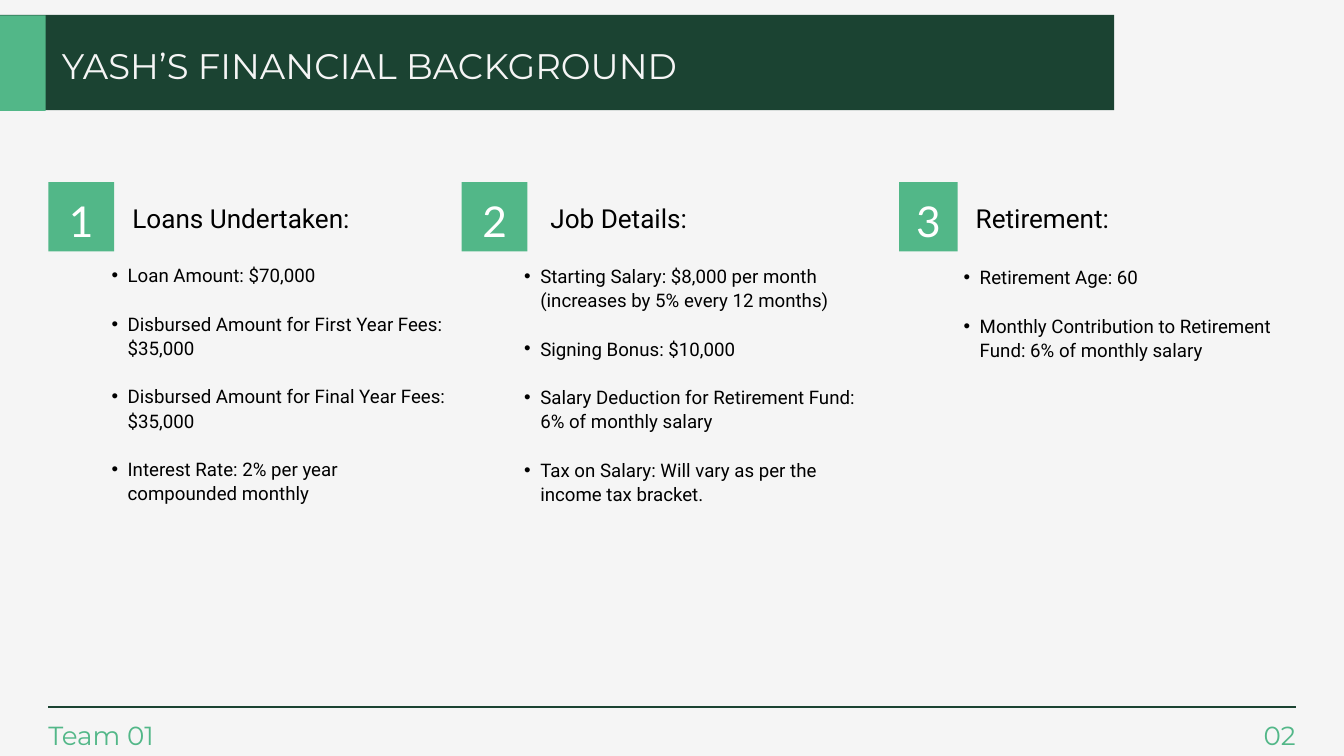
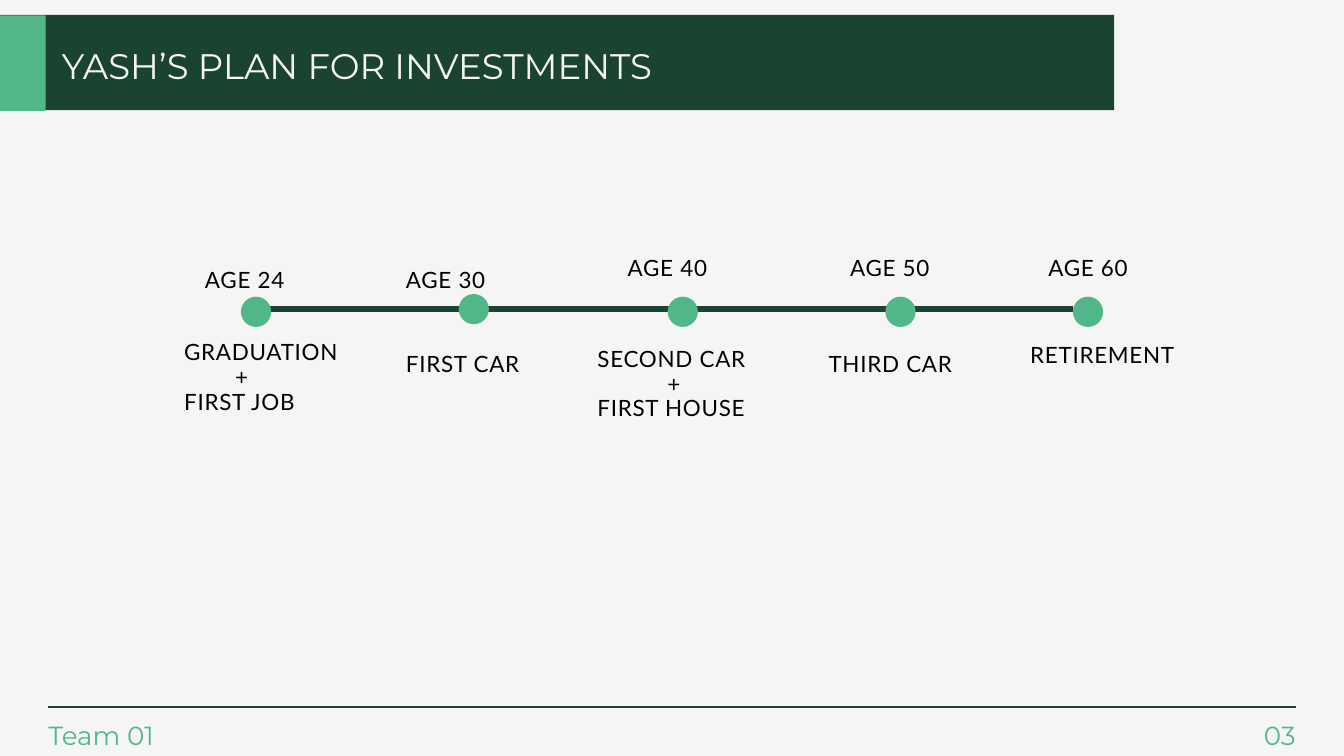
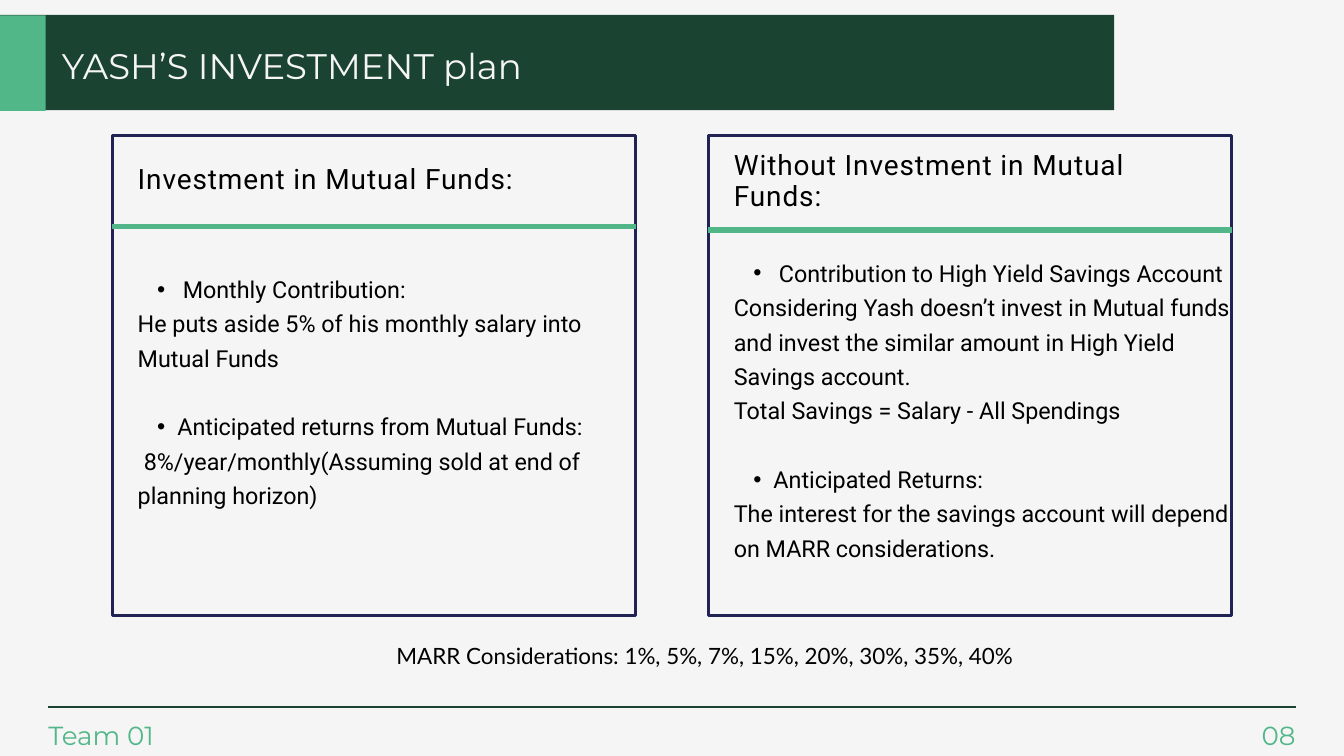
from dataclasses import dataclass

from lxml import etree
from pptx import Presentation
from pptx.dml.color import RGBColor
from pptx.enum.shapes import MSO_CONNECTOR, MSO_SHAPE
from pptx.enum.text import MSO_ANCHOR, PP_ALIGN
from pptx.oxml.ns import qn
from pptx.util import Emu, Inches, Pt

SLIDE_WIDTH = Inches(20)
SLIDE_HEIGHT = Inches(11.25)
GRID_COLUMNS = 20
CELL = SLIDE_WIDTH // GRID_COLUMNS

PAPER = RGBColor(0xF5, 0xF5, 0xF5)
FOREST = RGBColor(0x1B, 0x43, 0x32)
MINT = RGBColor(0x52, 0xB7, 0x88)
NAVY = RGBColor(0x20, 0x23, 0x54)
BLACK = RGBColor(0, 0, 0)
WHITE = RGBColor(0xFF, 0xFF, 0xFF)

RECTANGLE = MSO_SHAPE.RECTANGLE
OVAL = MSO_SHAPE.OVAL
STRAIGHT = MSO_CONNECTOR.STRAIGHT
MIDDLE = MSO_ANCHOR.MIDDLE
LEFT = PP_ALIGN.LEFT
CENTER = PP_ALIGN.CENTER
RIGHT = PP_ALIGN.RIGHT

MARGIN = 0.72
RIGHT_MARGIN = GRID_COLUMNS - MARGIN


@dataclass
class Style:
    font: str
    size: float
    leading: float
    color: RGBColor = BLACK
    align: int = LEFT
    tracking: float = 0


@dataclass
class Line:
    text: str
    indent: float = 0
    first: float = 0
    bullet: bool = False
    gap: bool = False


TITLE = Style("Montserrat", 38, 53.2, PAPER)
TEAM = Style("Montserrat", 28, 39.2, MINT)
PAGE = Style("Montserrat", 28, 39.2, MINT, RIGHT)
TILE_NUMBER = Style("Lato", 45.5, 63.7, WHITE, CENTER)
COLUMN_HEADING = Style("Roboto", 28, 39.2)
COLUMN_BODY = Style("Roboto", 20, 26)
MILESTONE = Style("Lato", 24, 26.4, tracking=0.8)
CARD_HEADING = Style("Roboto", 30, 33, tracking=1)
CARD_BODY = Style("Roboto", 25, 36.8)
RATES = Style("Lato", 24, 35.4, align=CENTER)


def grid(units):
    return Emu(round(units * CELL))


def write(text_frame, lines, style):
    text_frame.word_wrap = True
    text_frame.margin_left = text_frame.margin_right = 0
    text_frame.margin_top = text_frame.margin_bottom = 0
    for index, line in enumerate(lines):
        paragraph = text_frame.paragraphs[0] if index == 0 else text_frame.add_paragraph()
        paragraph.text = line.text
        paragraph.alignment = style.align
        paragraph.line_spacing = Pt(style.leading)
        paragraph.space_before = Pt(style.leading if line.gap else 0)
        properties = paragraph._p.get_or_add_pPr()
        properties.set("marL", str(grid(line.indent)))
        properties.set("indent", str(grid(line.first)))
        if line.bullet:
            etree.SubElement(properties, qn("a:buFont")).set("typeface", "Arial")
            etree.SubElement(properties, qn("a:buChar")).set("char", "•")
        for run in paragraph.runs:
            run.font.name = style.font
            run.font.size = Pt(style.size)
            run.font.color.rgb = style.color
            if style.tracking:
                run._r.get_or_add_rPr().set("spc", str(round(style.tracking * 100)))


def add_text(slide, left, top, width, height, lines, style):
    box = slide.shapes.add_textbox(grid(left), grid(top), grid(width), grid(height))
    write(box.text_frame, lines, style)


def add_block(slide, kind, left, top, width, height, fill, outline=None):
    shape = slide.shapes.add_shape(kind, grid(left), grid(top), grid(width), grid(height))
    shape.shadow.inherit = False
    shape.fill.solid()
    shape.fill.fore_color.rgb = fill
    if outline is None:
        shape.line.fill.background()
    else:
        shape.line.color.rgb = outline
        shape.line.width = Pt(3)
    return shape


def add_rule(slide, left, right, top, color, weight):
    rule = slide.shapes.add_connector(STRAIGHT, grid(left), grid(top), grid(right), grid(top))
    rule.line.color.rgb = color
    rule.line.width = Pt(weight)
    etree.SubElement(rule._element.spPr, qn("a:effectLst"))


def add_page(presentation, title, number):
    slide = presentation.slides.add_slide(presentation.slide_layouts[6])
    add_block(slide, RECTANGLE, -0.1, 0.22, 16.68, 1.42, FOREST)
    add_block(slide, RECTANGLE, -0.37, 0.23, 1.05, 1.42, MINT)
    add_text(slide, 0.92, 0.55, 15.4, 0.71, [Line(title)], TITLE)
    add_text(slide, MARGIN, 10.63, 2.03, 0.52, [Line("Team 01")], TEAM)
    add_text(slide, RIGHT_MARGIN - 1.62, 10.63, 1.62, 0.52, [Line(number)], PAGE)
    add_rule(slide, MARGIN, RIGHT_MARGIN, 10.52, FOREST, 3)
    return slide


def add_topic(slide, number, tile, heading, body, title, facts):
    tile_left, tile_width = tile
    heading_left, heading_width = heading
    body_left, body_top, body_width, body_height = body
    block = add_block(slide, RECTANGLE, tile_left, 2.71, tile_width, 1.03, MINT)
    block.text_frame.vertical_anchor = MIDDLE
    write(block.text_frame, [Line(str(number))], TILE_NUMBER)
    add_text(slide, heading_left, 2.93, heading_width, 0.53, [Line(title)], COLUMN_HEADING)
    lines = [Line(fact, 0.47, -0.24, True, index > 0) for index, fact in enumerate(facts)]
    add_text(slide, body_left, body_top, body_width, body_height, lines, COLUMN_BODY)


def add_milestone(slide, center, age, event):
    center_x, center_y = center
    age_left, age_top, age_text = age
    event_left, event_top, event_lines = event
    diameter = 0.45
    add_block(slide, OVAL, center_x - diameter / 2, center_y - diameter / 2,
              diameter, diameter, MINT)
    add_text(slide, age_left, age_top, 2.99, 0.38, [Line(age_text)], MILESTONE)
    add_text(slide, event_left, event_top, 2.99, 0.37 * len(event_lines),
             event_lines, MILESTONE)


def add_card(slide, left, rule_top, heading, body):
    width = 7.79
    heading_top, heading_width, heading_height, title = heading
    body_top, body_width, body_height, lines = body
    text_left = left + 0.38
    add_block(slide, RECTANGLE, left, 2.02, width, 7.14, PAPER, NAVY)
    add_rule(slide, left, left + width, rule_top, MINT, 6)
    add_text(slide, text_left, heading_top, heading_width, heading_height,
             [Line(title)], CARD_HEADING)
    add_text(slide, text_left, body_top, body_width, body_height, lines, CARD_BODY)


def build_background(presentation):
    slide = add_page(presentation, "YASH’S FINANCIAL BACKGROUND", "02")
    topics = [
        ((0.72, 0.98), (1.97, 4.09), (1.43, 3.9, 5.2, 3.56), "Loans Undertaken:", [
            "Loan Amount: $70,000",
            "Disbursed Amount for First Year Fees: $35,000",
            "Disbursed Amount for Final Year Fees: $35,000",
            "Interest Rate: 2% per year compounded monthly",
        ]),
        ((6.87, 0.98), (8.19, 4.46), (7.57, 3.91, 5.37, 3.94), "Job Details:", [
            "Starting Salary: $8,000 per month (increases by 5% every 12 months)",
            "Signing Bonus: $10,000",
            "Salary Deduction for Retirement Fund: 6% of monthly salary",
            "Tax on Salary: Will vary as per the income tax bracket.",
        ]),
        ((13.38, 0.87), (14.52, 4.46), (14.11, 3.93, 4.96, 2.59), "Retirement:", [
            "Retirement Age: 60",
            "Monthly Contribution to Retirement Fund: 6% of monthly salary",
        ]),
    ]
    for number, topic in enumerate(topics, start=1):
        add_topic(slide, number, *topic)


def build_timeline(presentation):
    slide = add_page(presentation, "YASH’S PLAN FOR INVESTMENTS", "03")
    add_rule(slide, 3.62, 15.96, 4.6, FOREST, 6)
    milestones = [
        ((3.81, 4.64), (3.05, 4, "AGE 24"),
         (2.74, 5.07, [Line("GRADUATION"), Line("+", 0.76), Line("FIRST JOB")])),
        ((7.05, 4.6), (6.04, 4, "AGE 30"), (6.04, 5.25, [Line("FIRST CAR")])),
        ((10.16, 4.64), (9.34, 3.82, "AGE 40"),
         (8.89, 5.17, [Line("SECOND CAR"), Line("+", 1.04), Line("FIRST HOUSE")])),
        ((13.4, 4.64), (12.65, 3.82, "AGE 50"), (12.33, 5.25, [Line("THIRD CAR")])),
        ((16.19, 4.64), (15.6, 3.82, "AGE 60"), (15.33, 5.11, [Line("RETIREMENT")])),
    ]
    for milestone in milestones:
        add_milestone(slide, *milestone)


def build_plan(presentation):
    slide = add_page(presentation, "YASH’S INVESTMENT plan", "08")
    add_card(slide, 1.67, 3.37, (2.44, 7.04, 0.47, "Investment in Mutual Funds:"), (4, 7.04, 4.48, [
        Line("Monthly Contribution:", 0.67, -0.38, True),
        Line("He puts aside 5% of his monthly salary into Mutual Funds"),
        Line("Anticipated returns from Mutual Funds:", 0.59, -0.3, True, True),
        Line("8%/year/monthly(Assuming sold at end of planning horizon)", first=0.09),
    ]))
    add_card(slide, 10.54, 3.42, (2.24, 6.72, 0.93, "Without Investment in Mutual Funds:"), (3.76, 7.39, 5.1, [
        Line("Contribution to High Yield Savings Account", 0.67, -0.38, True),
        Line("Considering Yash doesn’t invest in Mutual funds and invest the similar "
             "amount in High Yield Savings account."),
        Line("Total Savings = Salary - All Spendings"),
        Line("Anticipated Returns:", 0.59, -0.3, True, True),
        Line("The interest for the savings account will depend on MARR considerations."),
    ]))
    rates = "MARR Considerations: 1%, 5%, 7%, 15%, 20%, 30%, 35%, 40%"
    add_text(slide, 4.79, 9.46, 11.39, 0.68, [Line(rates)], RATES)


def main():
    presentation = Presentation()
    presentation.slide_width = SLIDE_WIDTH
    presentation.slide_height = SLIDE_HEIGHT
    background = presentation.slide_master.background.fill
    background.solid()
    background.fore_color.rgb = PAPER
    build_background(presentation)
    build_timeline(presentation)
    build_plan(presentation)
    presentation.save("out.pptx")


if __name__ == "__main__":
    main()
